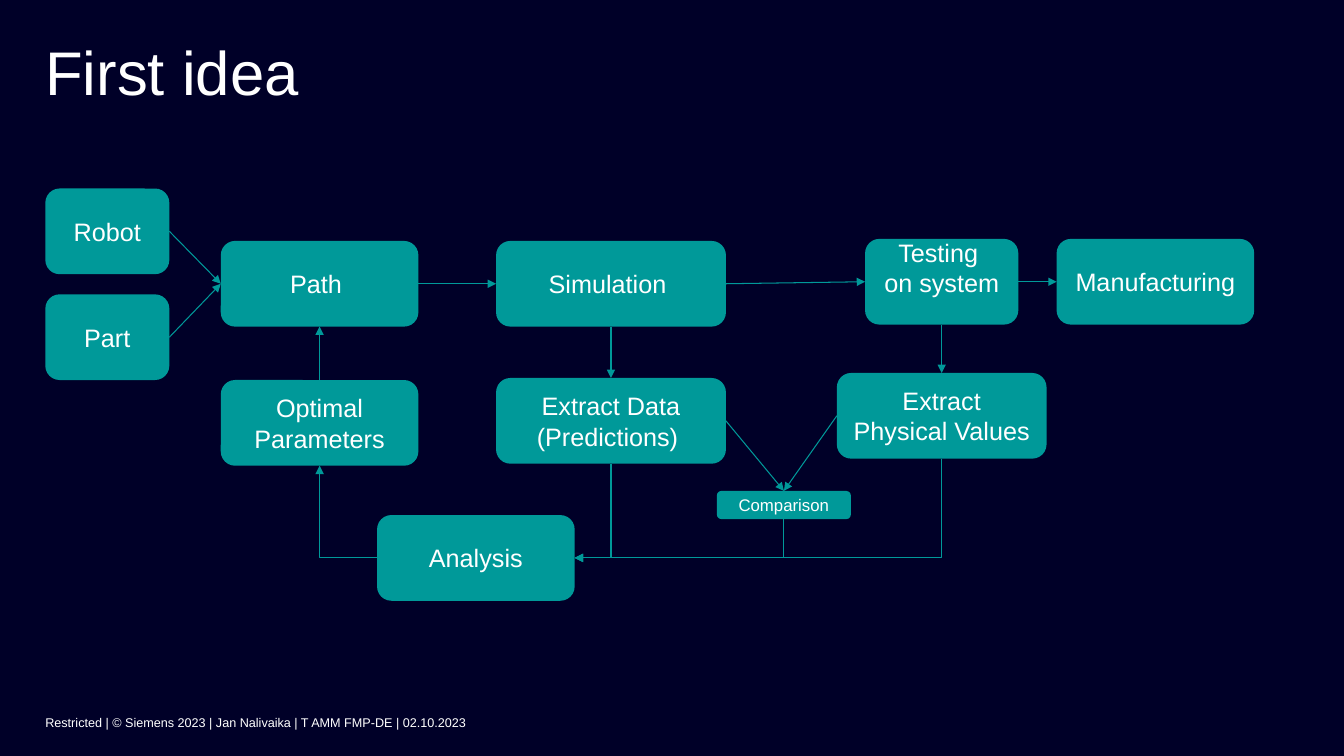
"""Build the "First idea" process flow slide."""
from dataclasses import dataclass

from pptx import Presentation
from pptx import util as u
from pptx.dml.color import RGBColor
from pptx.enum import shapes, text
from pptx.oxml import ns
from lxml import etree


@dataclass(frozen=True)
class Theme:
    font: str = "Arial"
    back: str = "000028"
    teal: str = "009999"
    white: str = "FFFFFF"
    title: int = 44
    body: int = 18
    small: int = 12
    footer: int = 9
    line: float = 0.75


@dataclass(frozen=True)
class Box:
    key: str
    lines: tuple[str, ...]
    left: float
    top: float
    width: float = 1.96
    height: float = 0.85
    size: int = Theme.body
    bottom: float = 0.08


@dataclass(frozen=True)
class Link:
    start: str
    start_site: int
    end: str
    end_site: int
    bent: bool = False


TH = Theme()
TOP, LEFT, BOTTOM, RIGHT = range(4)
BOXES = (
    Box("part", ("Part",), 0.45, 2.92, 1.23),
    Box("robot", ("Robot",), 0.45, 1.87, 1.23),
    Box("simulation", ("Simulation ",), 4.92, 2.39, 2.28),
    Box("predictions", ("Extract Data", "(Predictions) "), 4.92, 3.75, 2.28),
    Box("path", ("Path ",), 2.19, 2.39),
    Box("analysis", ("Analysis",), 3.74, 5.11),
    Box("optimal", ("Optimal Parameters",), 2.19, 3.77),
    Box("testing", ("Testing ", "on system"), 8.58, 2.37, 1.52, bottom=0.36),
    Box("physical", ("Extract Physical Values",), 8.3, 3.7, 2.08),
    Box("manufacturing", ("Manufacturing",), 10.48, 2.37),
    Box("comparison", ("Comparison",), 7.11, 4.87, 1.33, 0.28, TH.small),
)
LINKS = (
    Link("part", RIGHT, "path", LEFT),
    Link("robot", RIGHT, "path", LEFT),
    Link("path", RIGHT, "simulation", LEFT),
    Link("simulation", RIGHT, "testing", LEFT),
    Link("testing", RIGHT, "manufacturing", LEFT),
    Link("optimal", TOP, "path", BOTTOM),
    Link("simulation", BOTTOM, "predictions", TOP),
    Link("testing", BOTTOM, "physical", TOP),
    Link("physical", BOTTOM, "analysis", RIGHT, True),
    Link("predictions", BOTTOM, "analysis", RIGHT, True),
    Link("analysis", LEFT, "optimal", BOTTOM, True),
    Link("physical", LEFT, "comparison", TOP),
    Link("predictions", RIGHT, "comparison", TOP),
    Link("comparison", BOTTOM, "analysis", RIGHT, True),
)


def rgb(value: str) -> RGBColor:
    return RGBColor.from_string(value)


def write(sp, lines: tuple[str, ...], size: int, align, anchor, insets) -> None:
    tf = sp.text_frame
    tf.word_wrap = True
    tf.vertical_anchor = anchor
    tf.margin_left, tf.margin_top, tf.margin_right, tf.margin_bottom = map(u.Inches, insets)
    for i, line in enumerate(lines):
        p = tf.add_paragraph() if i else tf.paragraphs[0]
        p.alignment = align
        r = p.add_run()
        r.text = line
        r.font.name, r.font.size = TH.font, u.Pt(size)
        r.font.color.rgb = rgb(TH.white)


def draw_box(s, box: Box):
    sp = s.shapes.add_shape(
        shapes.MSO_SHAPE.ROUNDED_RECTANGLE,
        *map(u.Inches, (box.left, box.top, box.width, box.height)))
    sp.shadow.inherit = False
    sp.fill.solid()
    sp.fill.fore_color.rgb = rgb(TH.teal)
    sp.line.fill.background()
    write(sp, box.lines, box.size, text.PP_ALIGN.CENTER,
          text.MSO_ANCHOR.MIDDLE, (0.12, 0.08, 0.12, box.bottom))
    return sp


def bend(c, down_first: bool) -> None:
    left, top, width, height = c.left, c.top, c.width, c.height
    spPr = c._element.spPr
    spPr.find(ns.qn("a:prstGeom")).set("prst", "bentConnector2")
    xfrm = spPr.find(ns.qn("a:xfrm"))
    for flip in ("flipH", "flipV"):
        xfrm.attrib.pop(flip, None)
    xfrm.set("rot", str((90 if down_first else 180) * 60000))
    if down_first:
        c.left = left + (width - height) // 2
        c.top = top + (height - width) // 2
        c.width, c.height = height, width


def draw_link(s, link: Link, drawn: dict) -> None:
    kind = shapes.MSO_CONNECTOR.ELBOW if link.bent else shapes.MSO_CONNECTOR.STRAIGHT
    c = s.shapes.add_connector(kind, 0, 0, 0, 0)
    c.begin_connect(drawn[link.start], link.start_site)
    c.end_connect(drawn[link.end], link.end_site)
    if link.bent:
        bend(c, link.start_site == BOTTOM)
    c.line.color.rgb = rgb(TH.teal)
    c.line.width = u.Pt(TH.line)
    etree.SubElement(c.line._get_or_add_ln(), ns.qn("a:tailEnd"), type="triangle")
    etree.SubElement(c._element.spPr, ns.qn("a:effectLst"))


def main() -> None:
    prs = Presentation()
    prs.slide_width, prs.slide_height = u.Inches(13.33), u.Inches(7.5)
    s = prs.slides.add_slide(prs.slide_layouts[5])
    s.background.fill.solid()
    s.background.fill.fore_color.rgb = rgb(TH.back)

    title = s.shapes.title
    title.left, title.top, title.width, title.height = map(u.Inches, (0.45, 0.33, 12.44, 0.74))
    write(title, ("First idea",), TH.title, text.PP_ALIGN.LEFT,
          text.MSO_ANCHOR.BOTTOM, (0, 0, 0, 0))

    footer = s.shapes.add_textbox(*map(u.Inches, (0.45, 6.9, 10.16, 0.59)))
    write(footer, ("Restricted | © Siemens 2023 | Jan Nalivaika | T AMM FMP-DE | 02.10.2023",),
          TH.footer, text.PP_ALIGN.LEFT, text.MSO_ANCHOR.MIDDLE, (0, 0, 0, 0.06))

    drawn = {box.key: draw_box(s, box) for box in BOXES}
    for link in LINKS:
        draw_link(s, link, drawn)
    prs.save("out.pptx")


if __name__ == "__main__":
    main()
